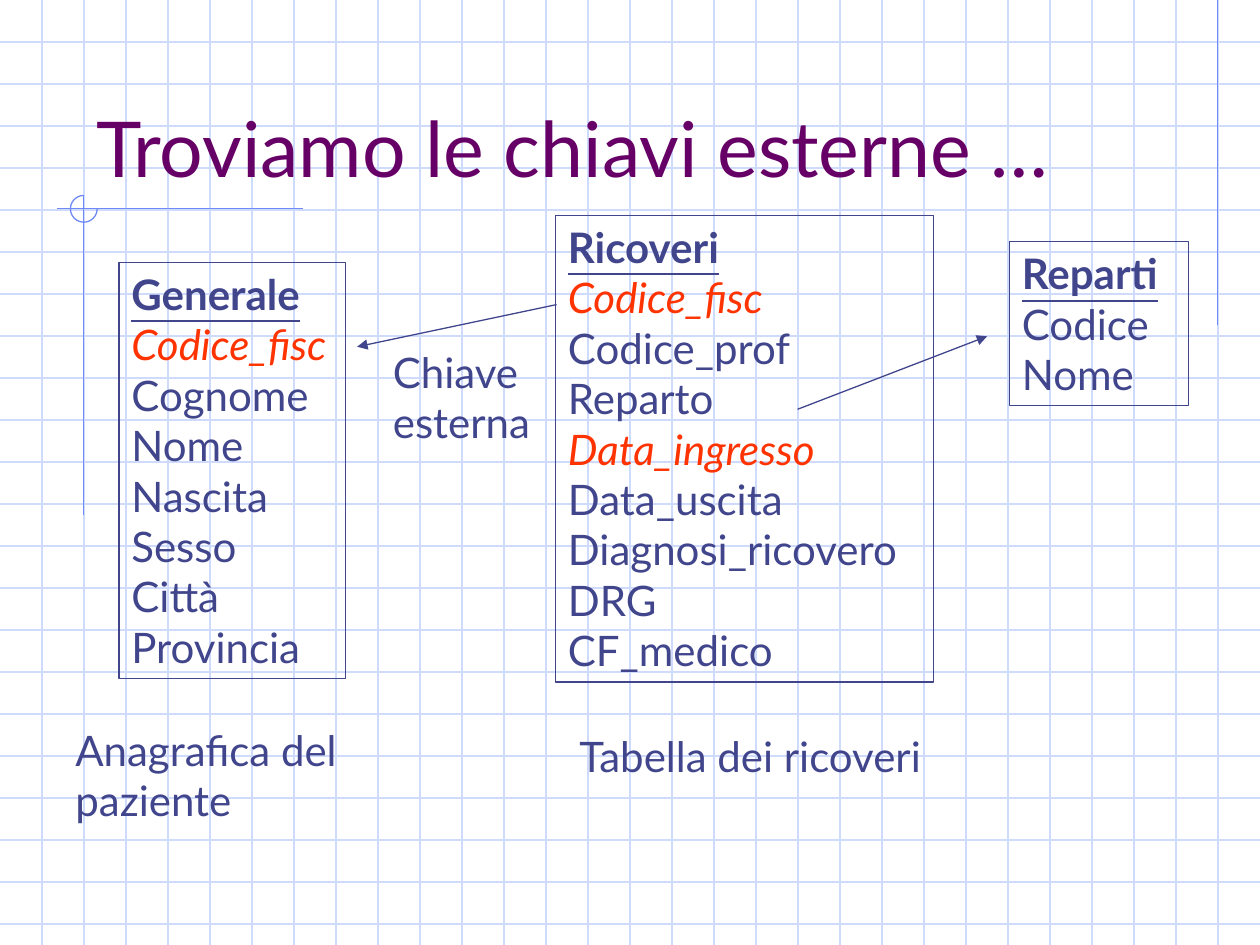
"""Build the slide on foreign keys between the patient, admission and ward tables."""
from lxml import etree
from pptx import Presentation
from pptx.dml.color import RGBColor
from pptx.enum.shapes import MSO_CONNECTOR, MSO_SHAPE
from pptx.enum.text import MSO_ANCHOR, MSO_AUTO_SIZE, PP_ALIGN
from pptx.oxml.ns import qn
from pptx.util import Cm, Pt

STRAIGHT = MSO_CONNECTOR.STRAIGHT
RECTANGLE, ARC = MSO_SHAPE.RECTANGLE, MSO_SHAPE.ARC
TOP, BOTTOM = MSO_ANCHOR.TOP, MSO_ANCHOR.BOTTOM
GROW, FIXED = MSO_AUTO_SIZE.SHAPE_TO_FIT_TEXT, MSO_AUTO_SIZE.NONE
LEFT = PP_ALIGN.LEFT

FONT = "Lato"
GRID_BLUE = RGBColor(0xCF, 0xDB, 0xFD)
ACCENT_BLUE = RGBColor(0x6F, 0x89, 0xF7)
INK = RGBColor(0x40, 0x45, 0x8C)
KEY_RED = RGBColor(0xFF, 0x33, 0x00)
TITLE_PURPLE = RGBColor(0x66, 0x00, 0x66)

WIDTH, HEIGHT = 25.4, 19.05
GRID_STEP = WIDTH / 30

TITLE = ("Troviamo le chiavi esterne …", (1.69, 0.85, 21.59, 3.17))
ENTITIES = [
    ("Generale",
     ["Codice_fisc", "Cognome", "Nome", "Nascita", "Sesso", "Città", "Provincia"],
     (2.4, 5.29, 4.56, 8.39)),
    ("Ricoveri",
     ["Codice_fisc", "Codice_prof", "Reparto", "Data_ingresso", "Data_uscita",
      "Diagnosi_ricovero", "DRG", "CF_medico"],
     (11.2, 4.34, 7.62, 9.41)),
    ("Reparti", ["Codice", "Nome"], (20.35, 4.87, 3.61, 3.31)),
]
PRIMARY_KEYS = {"Codice_fisc", "Data_ingresso"}
CAPTIONS = [
    ("Anagrafica del\npaziente", (1.27, 14.48, 6.43, 2.29)),
    ("Tabella dei ricoveri", (11.43, 14.6, 7.98, 1.27)),
    ("Chiave\nesterna", (7.67, 6.86, 3.51, 2.29)),
]
REFERENCES = [(11.22, 6.14, 7.2, 6.99), (16.08, 8.25, 19.9, 6.78)]
ORNAMENT_LINES = [
    (24.55, 0, 24.55, 6.55),
    (6.1, 4.2, 1.14, 4.2),
    (1.69, 3.94, 1.69, 10.39),
]
ORNAMENT_ARC = (1.42, 3.94, 0.54, 0.54)


def add_line(shapes, ends, color, arrow=False):
    line = shapes.add_connector(STRAIGHT, *map(Cm, ends))
    line.line.color.rgb = color
    line.line.width = Pt(0.75)
    properties = line._element.spPr
    if arrow:
        etree.SubElement(properties.find(qn("a:ln")), qn("a:tailEnd"), type="triangle")
    etree.SubElement(properties, qn("a:effectLst"))


def add_outline(shapes, preset, place):
    outline = shapes.add_shape(preset, *map(Cm, place))
    outline.shadow.inherit = False
    outline.fill.background()
    outline.line.width = Pt(0.75)
    return outline


def write(box, text, size=24, color=INK, anchor=TOP, wrap=False, fit=GROW):
    frame = box.text_frame
    frame.text = text
    frame.word_wrap = wrap
    frame.auto_size = fit
    frame.vertical_anchor = anchor
    for paragraph in frame.paragraphs:
        paragraph.alignment = LEFT
        for run in paragraph.runs:
            run.font.name = FONT
            run.font.size = Pt(size)
            run.font.color.rgb = color
    return frame.paragraphs


def draw_background(shapes):
    for row in range(1, int(HEIGHT / GRID_STEP) + 1):
        add_line(shapes, (0, row * GRID_STEP, WIDTH, row * GRID_STEP), GRID_BLUE)
    for column in range(1, 30):
        add_line(shapes, (column * GRID_STEP, 0, column * GRID_STEP, HEIGHT), GRID_BLUE)
    for ends in ORNAMENT_LINES:
        add_line(shapes, ends, ACCENT_BLUE)
    arc = add_outline(shapes, ARC, ORNAMENT_ARC)
    arc.line.color.rgb = ACCENT_BLUE
    arc.adjustments[0], arc.adjustments[1] = 0, 162


def draw_entity(shapes, name, fields, place):
    entity = add_outline(shapes, RECTANGLE, place)
    entity.line.color.rgb = INK
    heading, *rows = write(entity, "\n".join([name, *fields]))
    heading.runs[0].font.bold = True
    heading.runs[0].font.underline = True
    for field, row in zip(fields, rows):
        if field in PRIMARY_KEYS:
            row.runs[0].font.italic = True
            row.runs[0].font.color.rgb = KEY_RED


def main():
    presentation = Presentation()
    presentation.slide_width, presentation.slide_height = Cm(WIDTH), Cm(HEIGHT)
    shapes = presentation.slides.add_slide(presentation.slide_layouts[6]).shapes
    draw_background(shapes)
    for entity in ENTITIES:
        draw_entity(shapes, *entity)
    for caption, place in CAPTIONS:
        write(shapes.add_textbox(*map(Cm, place)), caption)
    for ends in REFERENCES:
        add_line(shapes, ends, INK, arrow=True)
    title, place = TITLE
    write(shapes.add_textbox(*map(Cm, place)), title, 44, TITLE_PURPLE, BOTTOM, True, FIXED)
    presentation.save("out.pptx")


if __name__ == "__main__":
    main()
